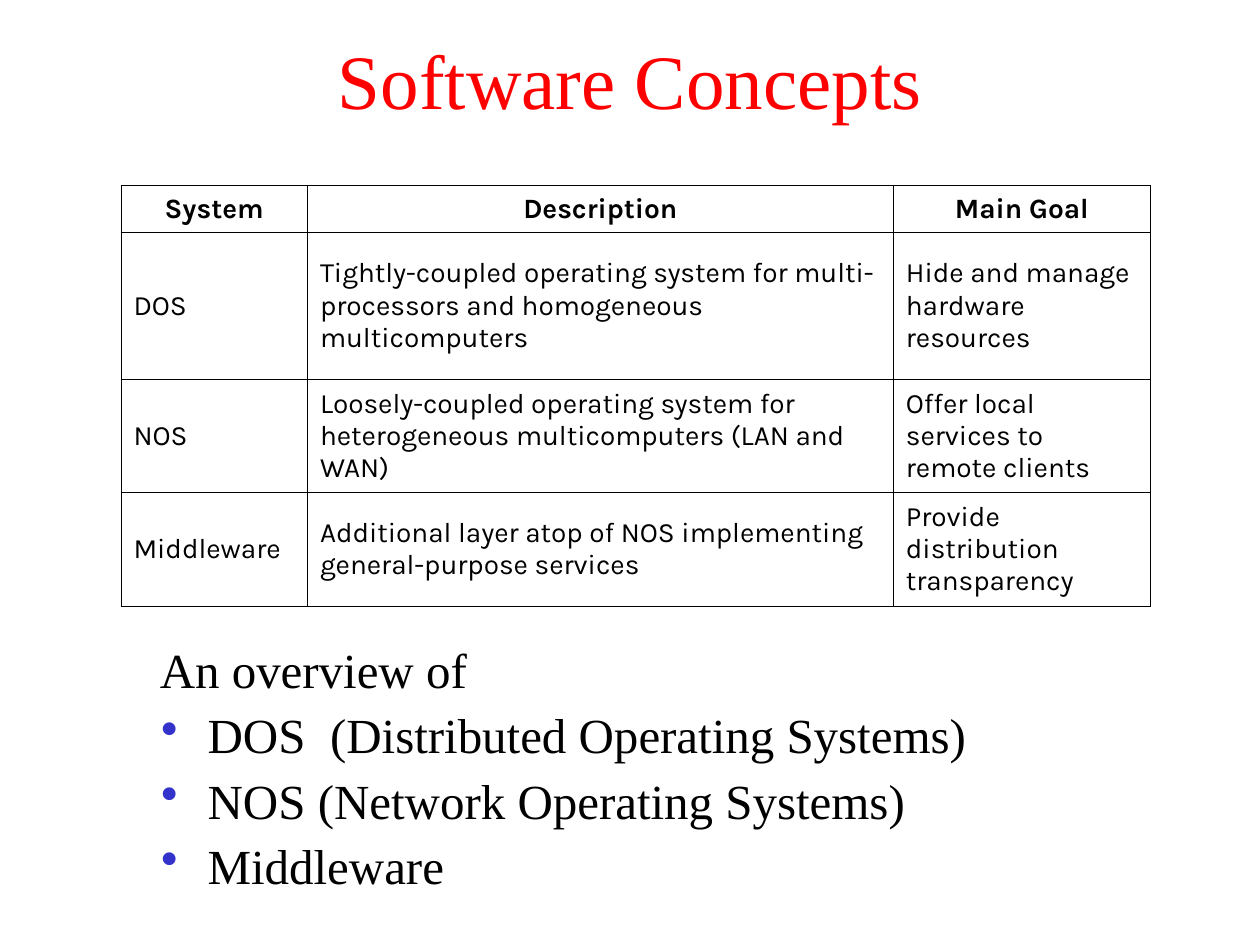
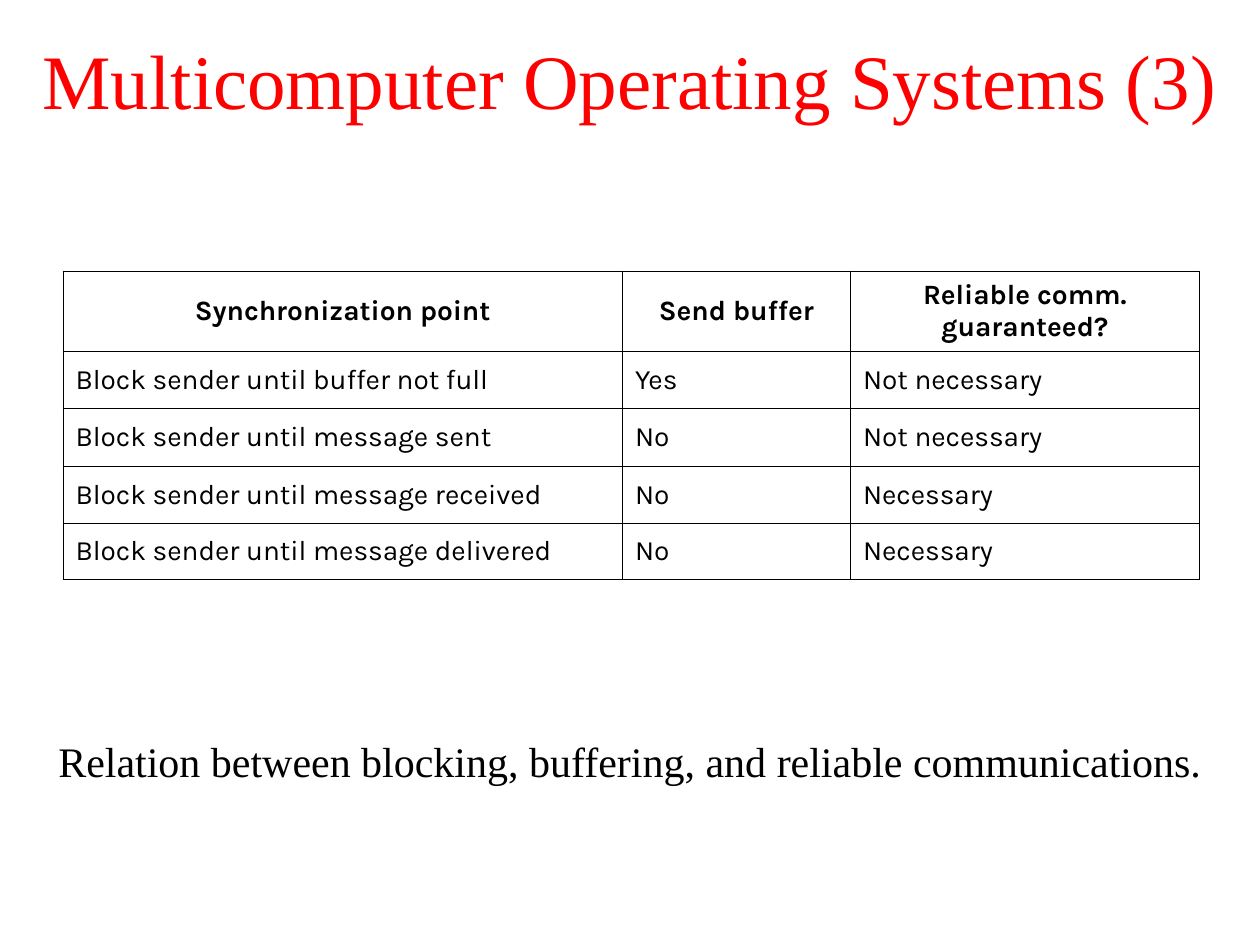
"""Build two slides on distributed system software."""
import dataclasses

import pptx
import pptx.dml.color
import pptx.enum.text
import pptx.oxml.ns
import pptx.util
from lxml import etree

Inches = pptx.util.Inches
Pt = pptx.util.Pt
ALIGN = pptx.enum.text.PP_ALIGN
ANCHOR = pptx.enum.text.MSO_ANCHOR


@dataclasses.dataclass(frozen=True)
class Theme:
    """Colours, fonts, sizes and line widths."""
    title: str = "FF0000"
    ink: str = "000000"
    bullet: str = "3333CC"
    serif: str = "Times New Roman"
    sans: str = "Karla"
    title_size: int = 44
    list_size: int = 28
    note_size: int = 24
    cell_size: int = 16
    outer: float = 0.5
    inner: float = 0.23


THEME = Theme()


def style(para, face, size, ink=THEME.ink, bold=False):
    """Set the font of a paragraph."""
    font = para.font
    font.name, font.size, font.bold = face, Pt(size), bold
    font.color.rgb = pptx.dml.color.RGBColor.from_string(ink)


def add_node(parent, tag, **attrs):
    """Append a drawing element and return it."""
    return etree.SubElement(parent, pptx.oxml.ns.qn(tag), attrs)


def add_frame(slide, box, anchor=ANCHOR.TOP):
    """Add a wrapping text box and return its frame."""
    frame = slide.shapes.add_textbox(*map(Inches, box)).text_frame
    frame.word_wrap = True
    frame.vertical_anchor = anchor
    return frame


def add_title(slide, text):
    """Add the centred red title."""
    para = add_frame(slide, (0, 0, 10, 1.25), ANCHOR.MIDDLE).paragraphs[0]
    para.text = text
    para.alignment = ALIGN.CENTER
    style(para, THEME.serif, THEME.title_size, THEME.title)


def add_note(slide, text):
    """Add the centred line under a table."""
    para = add_frame(slide, (0, 5.83, 10, 0.92)).paragraphs[0]
    para.text = text
    para.alignment = ALIGN.CENTER
    para.line_spacing = 0.9
    style(para, THEME.serif, THEME.note_size)


def add_bullet(para):
    """Give a paragraph a hanging blue bullet."""
    props = para._p.get_or_add_pPr()
    props.set("marL", str(Inches(0.38)))
    props.set("indent", str(-Inches(0.37)))
    add_node(add_node(props, "a:buClr"), "a:srgbClr", val=THEME.bullet)
    add_node(props, "a:buChar", char="•")


def add_list(slide, lead, items):
    """Add a lead line and its bulleted items."""
    frame = add_frame(slide, (1.17, 5.08, 8.83, 2.08))
    for i, text in enumerate([lead, *items]):
        para = frame.add_paragraph() if i else frame.paragraphs[0]
        para.text = text
        para.line_spacing = 0.9
        if i:
            para.space_before = Pt(7)
            add_bullet(para)
        style(para, THEME.serif, THEME.list_size)


def add_rules(cell, edges):
    """Draw cell borders, thicker on the sides at the table's edge."""
    props = cell._tc.get_or_add_tcPr()
    for side in "LRTB":
        width = THEME.outer if side in edges else THEME.inner
        line = add_node(props, f"a:ln{side}", w=str(Pt(width)))
        add_node(add_node(line, "a:solidFill"), "a:srgbClr", val=THEME.ink)


def fill_cell(cell, text, head, edges):
    """Write and style one table cell."""
    add_rules(cell, edges)
    cell.fill.background()
    cell.vertical_anchor = ANCHOR.MIDDLE
    para = cell.text_frame.paragraphs[0]
    para.text = text
    para.line_spacing = 0.98
    para.alignment = ALIGN.CENTER if head else ALIGN.LEFT
    style(para, THEME.sans, THEME.cell_size, bold=head)


def add_grid(slide, left, top, widths, heights, rows):
    """Add a ruled table whose first row is the heading."""
    box = map(Inches, (left, top, sum(widths), sum(heights)))
    table = slide.shapes.add_table(len(rows), len(widths), *box).table
    table.first_row = table.horz_banding = False
    for col, width in zip(table.columns, widths):
        col.width = Inches(width)
    for row, height in zip(table.rows, heights):
        row.height = Inches(height)
    for r, texts in enumerate(rows):
        for c, text in enumerate(texts):
            places = {"L": c == 0, "R": c == len(widths) - 1,
                      "T": r == 0, "B": r == len(rows) - 1}
            edges = [side for side, on in places.items() if on]
            fill_cell(table.cell(r, c), text, r == 0, edges)


def add_slide(deck, title):
    """Add a blank slide with a title."""
    slide = deck.slides.add_slide(deck.slide_layouts[6])
    add_title(slide, title)
    return slide


def main():
    """Build and save the slides."""
    deck = pptx.Presentation()
    deck.slide_width, deck.slide_height = Inches(10), Inches(7.5)

    slide = add_slide(deck, "Software Concepts")
    add_list(slide, "An overview of", [
        "DOS  (Distributed Operating Systems)",
        "NOS (Network Operating Systems)",
        "Middleware",
    ])
    add_grid(slide, 0.96, 1.47, (1.48, 4.65, 2.04), (0.37, 1.17, 0.9, 0.9), [
        ("System", "Description", "Main Goal"),
        ("DOS", "Tightly-coupled operating system for multi-processors "
         "and homogeneous multicomputers",
         "Hide and manage hardware resources"),
        ("NOS", "Loosely-coupled operating system for heterogeneous "
         "multicomputers (LAN and WAN)",
         "Offer local services to remote clients"),
        ("Middleware", "Additional layer atop of NOS implementing "
         "general-purpose services",
         "Provide distribution transparency"),
    ])

    slide = add_slide(deck, "Multicomputer Operating Systems (3)")
    add_note(slide, "Relation between blocking, buffering, "
             "and reliable communications.")
    heights = (0.64, 0.45, 0.46, 0.45, 0.45)
    add_grid(slide, 0.5, 2.15, (4.44, 1.81, 2.77), heights, [
        ("Synchronization point", "Send buffer", "Reliable comm. guaranteed?"),
        ("Block sender until buffer not full", "Yes", "Not necessary"),
        ("Block sender until message sent", "No", "Not necessary"),
        ("Block sender until message received", "No", "Necessary"),
        ("Block sender until message delivered", "No", "Necessary"),
    ])
    deck.save("out.pptx")


if __name__ == "__main__":
    main()
